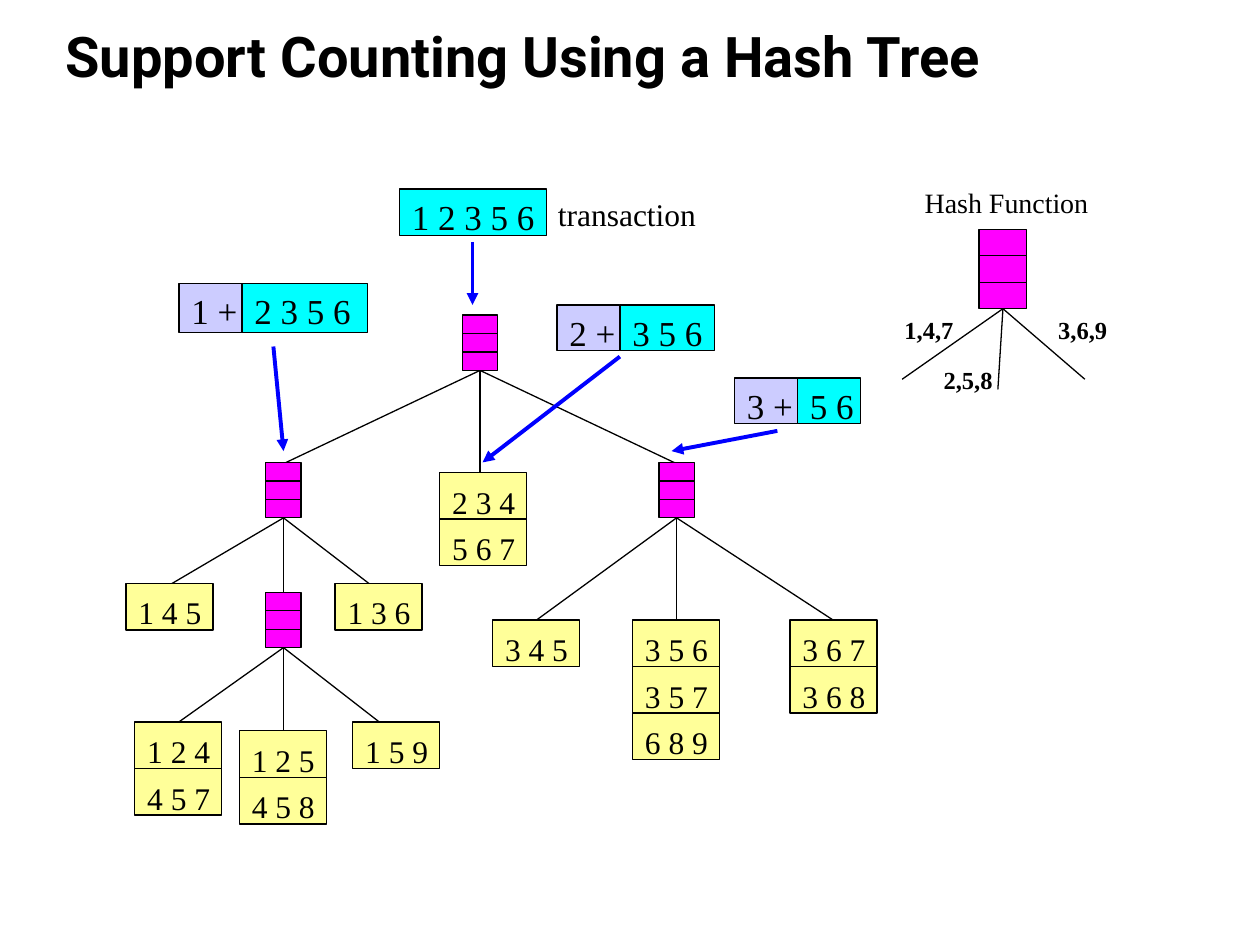
"""Build the slide that shows support counting with a hash tree."""
from typing import NamedTuple

from lxml import etree
from pptx import Presentation
from pptx.dml.color import RGBColor
from pptx.enum.shapes import MSO_CONNECTOR, MSO_SHAPE
from pptx.enum.text import MSO_ANCHOR, PP_ALIGN
from pptx.oxml.ns import qn
from pptx.util import Inches, Pt

RECTANGLE = MSO_SHAPE.RECTANGLE
STRAIGHT = MSO_CONNECTOR.STRAIGHT
TOP, BOTTOM = MSO_ANCHOR.TOP, MSO_ANCHOR.BOTTOM
LEFT = PP_ALIGN.LEFT

BLACK = RGBColor(0x00, 0x00, 0x00)
BLUE = RGBColor(0x00, 0x00, 0xFF)
MAGENTA = RGBColor(0xFF, 0x00, 0xFF)
YELLOW = RGBColor(0xFF, 0xFF, 0x99)
CYAN = RGBColor(0x00, 0xFF, 0xFF)
LAVENDER = RGBColor(0xCC, 0xCC, 0xFF)

TITLE_FONT, BODY_FONT = "Roboto", "Times New Roman"
LEAF_WIDTH, LEAF_HEIGHT = 0.69, 0.37
NODE_WIDTH, NODE_HEIGHT = 0.28, 0.44
PREFIX_WIDTH = 0.5


class Point(NamedTuple):
    x: float
    y: float


class HashNode(NamedTuple):
    left: float
    top: float
    branch_ends: tuple[Point, ...]
    width: float = NODE_WIDTH
    height: float = NODE_HEIGHT


class Leaf(NamedTuple):
    left: float
    top: float
    itemsets: tuple[str, ...]


class Itemset(NamedTuple):
    left: float
    top: float
    height: float
    prefix: str
    rest: str
    rest_width: float


class Label(NamedTuple):
    left: float
    top: float
    width: float
    height: float
    words: str
    size: float
    bold: bool = False


class Arrow(NamedTuple):
    start: Point
    end: Point


NODES = (
    HashNode(3.67, 2.5, (Point(2.25, 3.68), Point(3.81, 3.75), Point(5.37, 3.68))),
    HashNode(2.11, 3.67, (Point(1.35, 4.64), Point(2.25, 4.7), Point(2.94, 4.64))),
    HashNode(5.23, 3.67, (Point(4.26, 4.92), Point(5.37, 4.92), Point(6.61, 4.92))),
    HashNode(2.11, 4.7, (Point(1.42, 5.73), Point(2.25, 5.8), Point(3.01, 5.73))),
    HashNode(7.77, 1.82, (Point(7.16, 3.01), Point(7.92, 3.09), Point(8.61, 3.01)), 0.38, 0.63),
)
LEAVES = (
    Leaf(1, 4.63, ("1 4 5",)),
    Leaf(2.66, 4.63, ("1 3 6",)),
    Leaf(1.07, 5.73, ("1 2 4", "4 5 7")),
    Leaf(1.9, 5.8, ("1 2 5", "4 5 8")),
    Leaf(2.8, 5.73, ("1 5 9",)),
    Leaf(3.49, 3.75, ("2 3 4", "5 6 7")),
    Leaf(3.91, 4.92, ("3 4 5",)),
    Leaf(5.02, 4.92, ("3 5 6", "3 5 7", "6 8 9")),
    Leaf(6.27, 4.92, ("3 6 7", "3 6 8")),
)
ITEMSETS = (
    Itemset(3.17, 1.5, 0.37, "", "1 2 3 5 6", 1.17),
    Itemset(1.42, 2.25, 0.39, "1 +", "2 3 5 6", 1),
    Itemset(4.42, 2.42, 0.36, "2 +", "3 5 6", 0.75),
    Itemset(5.83, 3, 0.36, "3 +", "5 6", 0.5),
)
ARROWS = (
    Arrow(Point(3.75, 1.92), Point(3.75, 2.42)),
    Arrow(Point(2.17, 2.75), Point(2.25, 3.58)),
    Arrow(Point(4.92, 2.83), Point(3.83, 3.67)),
    Arrow(Point(6.17, 3.42), Point(5.33, 3.58)),
)
LABELS = (
    Label(4.33, 1.5, 1.3, 0.4, "transaction", 18),
    Label(7.24, 1.42, 1.51, 0.37, "Hash Function", 16),
    Label(7.08, 2.45, 0.59, 0.33, "1,4,7", 14, True),
    Label(7.39, 2.85, 0.59, 0.33, "2,5,8", 14, True),
    Label(8.3, 2.45, 0.59, 0.33, "3,6,9", 14, True),
)


def write(shape, words: str, size: float, bold: bool = False, face: str = BODY_FONT):
    paragraph = shape.text_frame.paragraphs[0]
    paragraph.text = words
    paragraph.alignment = LEFT
    paragraph.font.name = face
    paragraph.font.size = Pt(size)
    paragraph.font.bold = bold
    paragraph.font.color.rgb = BLACK
    return paragraph


def draw_line(slide, start: Point, end: Point, color: RGBColor = BLACK, weight: float = 0.75):
    line = slide.shapes.add_connector(
        STRAIGHT, Inches(start.x), Inches(start.y), Inches(end.x), Inches(end.y))
    line.line.color.rgb = color
    line.line.width = Pt(weight)
    etree.SubElement(line._element.spPr, qn("a:effectLst"))
    return line


def draw_arrow(slide, arrow: Arrow) -> None:
    line = draw_line(slide, arrow.start, arrow.end, BLUE, 2.25)
    etree.SubElement(line.line._get_or_add_ln(), qn("a:tailEnd"), type="triangle")


def draw_box(slide, left: float, top: float, width: float, height: float, fill: RGBColor):
    box = slide.shapes.add_shape(
        RECTANGLE, Inches(left), Inches(top), Inches(width), Inches(height))
    box.shadow.inherit = False
    box.fill.solid()
    box.fill.fore_color.rgb = fill
    box.line.color.rgb = BLACK
    box.line.width = Pt(0.75)
    return box


def fill_in(box, words: str, size: float, inset_top: float) -> None:
    frame = box.text_frame
    frame.word_wrap = False
    frame.vertical_anchor = TOP
    frame.margin_left, frame.margin_top = Inches(0.1), Inches(inset_top)
    frame.margin_right = frame.margin_bottom = Inches(0)
    write(box, words, size)


def draw_node(slide, node: HashNode) -> None:
    fork = Point(node.left + node.width / 2, node.top + node.height)
    for end in node.branch_ends:
        draw_line(slide, fork, end)
    draw_box(slide, node.left, node.top, node.width, node.height, MAGENTA)
    for third in (1, 2):
        y = node.top + node.height * third / 3
        draw_line(slide, Point(node.left, y), Point(node.left + node.width, y))


def draw_leaf(slide, leaf: Leaf) -> None:
    for row, words in enumerate(leaf.itemsets):
        top = leaf.top + row * LEAF_HEIGHT
        fill_in(draw_box(slide, leaf.left, top, LEAF_WIDTH, LEAF_HEIGHT, YELLOW), words, 18, 0.08)


def draw_itemset(slide, itemset: Itemset) -> None:
    left, top, height = itemset.left, itemset.top, itemset.height
    if itemset.prefix:
        fill_in(draw_box(slide, left, top, PREFIX_WIDTH, height, LAVENDER), itemset.prefix, 20, 0.05)
        left += PREFIX_WIDTH
    fill_in(draw_box(slide, left, top, itemset.rest_width, height, CYAN), itemset.rest, 20, 0.05)


def draw_label(slide, label: Label) -> None:
    box = slide.shapes.add_textbox(
        Inches(label.left), Inches(label.top), Inches(label.width), Inches(label.height))
    box.text_frame.word_wrap = False
    write(box, label.words, label.size, label.bold)


def draw_title(slide, words: str) -> None:
    title = slide.shapes.add_textbox(Inches(0.42), Inches(0.17), Inches(9.06), Inches(0.58))
    title.text_frame.word_wrap = True
    title.text_frame.vertical_anchor = BOTTOM
    write(title, words, 32, True, TITLE_FONT).line_spacing = Pt(36)


def main() -> None:
    deck = Presentation()
    deck.slide_width, deck.slide_height = Inches(10), Inches(7.5)
    slide = deck.slides.add_slide(deck.slide_layouts[6])
    draw_title(slide, "Support Counting Using a Hash Tree")
    for draw, parts in ((draw_node, NODES), (draw_leaf, LEAVES), (draw_itemset, ITEMSETS),
                        (draw_arrow, ARROWS), (draw_label, LABELS)):
        for part in parts:
            draw(slide, part)
    deck.save("out.pptx")


if __name__ == "__main__":
    main()
